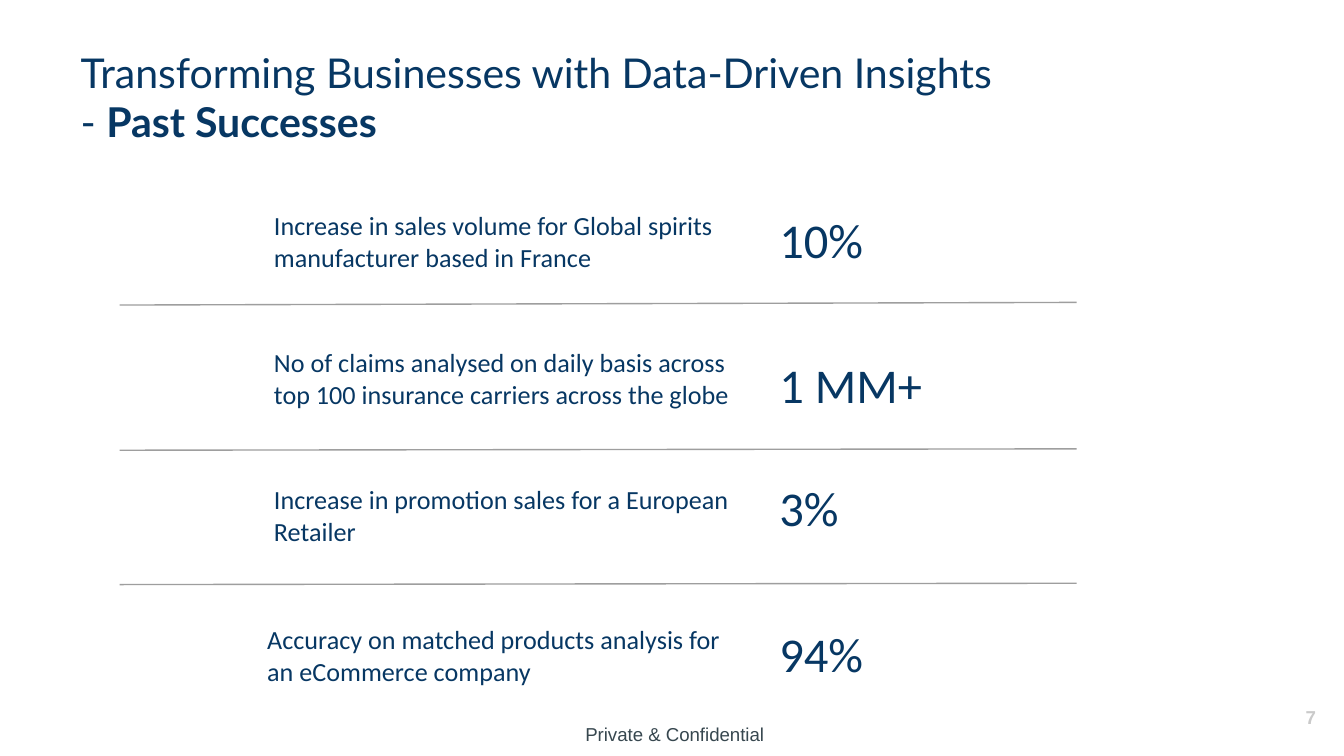
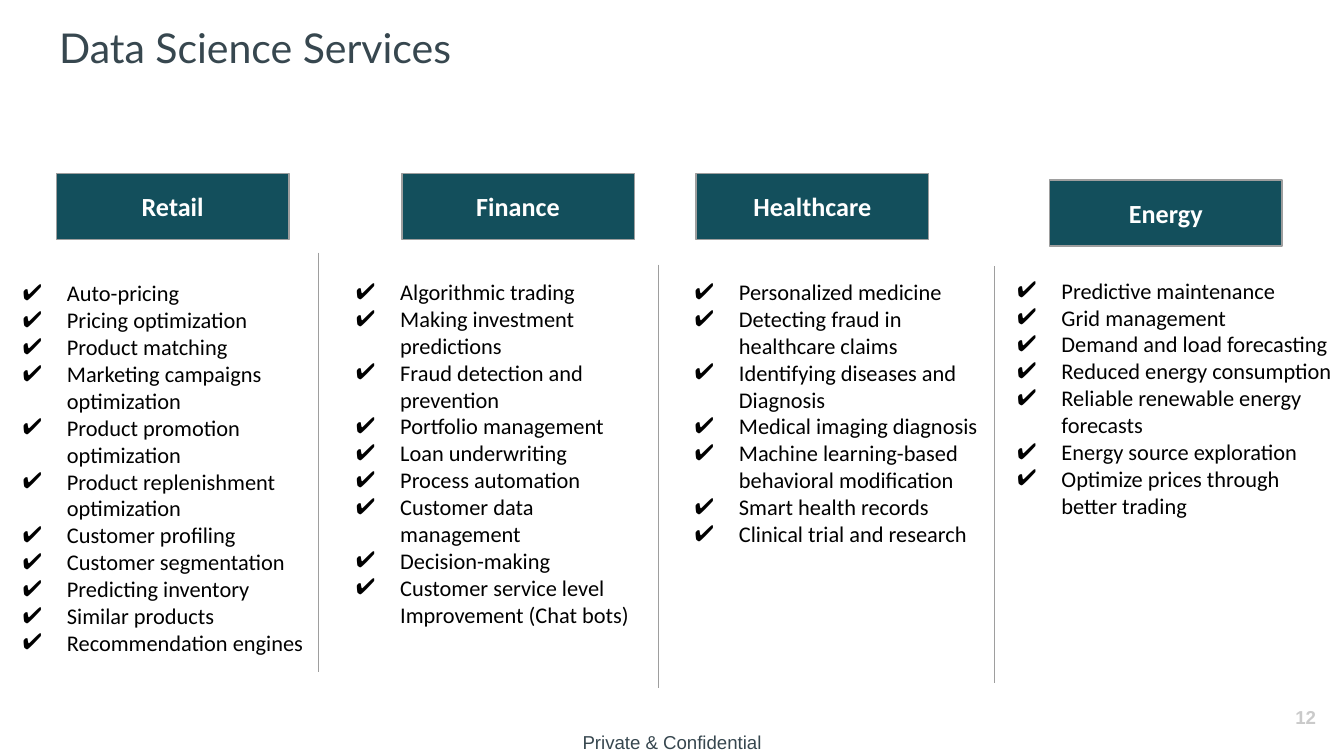
from dataclasses import dataclass

from lxml.etree import SubElement
from pptx import Presentation
from pptx.dml.color import RGBColor as Rgb
from pptx.enum.shapes import MSO_CONNECTOR as Connector, MSO_SHAPE as Shape
from pptx.enum.text import MSO_ANCHOR as Anchor, MSO_AUTO_SIZE as AutoSize, PP_ALIGN as Align
from pptx.oxml.ns import qn
from pptx.util import Inches, Pt


@dataclass(frozen=True)
class Theme:
    """Colours, fonts and type sizes shared by the slides."""
    navy: str = "073763"
    slate: str = "37474F"
    teal: str = "134F5C"
    rule: str = "9E9E9E"
    pale: str = "CACACA"
    black: str = "000000"
    white: str = "FFFFFF"
    title_font: str = "Lato"
    body_font: str = "Calibri"
    footer_font: str = "Arial"
    title_size: int = 22
    figure_size: int = 26
    label_size: int = 14
    list_size: int = 12
    footer_size: int = 10
    line_width: float = 0.75
    inset: float = 0.1


THEME = Theme()

SUCCESSES = [
    ("Increase in sales volume for Global spirits manufacturer based in France",
     1.94, 1.46, "10%", 1.46, 1.25),
    ("No of claims analysed on daily basis across top 100 insurance carriers across the globe",
     1.94, 2.48, "1 MM+", 2.54, 1.63),
    ("Increase in promotion sales for a European Retailer",
     1.94, 3.5, "3%", 3.46, 1.63),
    ("Accuracy on matched products analysis for an eCommerce company",
     1.89, 4.54, "94%", 4.54, 1.63),
]
ROW_RULES = [(2.27, 2.25), (3.35, 3.34), (4.35, 4.34)]

SERVICES = [
    ("Retail", (0.42, 1.29), (-0.1, 1.98, 2.57, 3.1), [
        "Auto-pricing",
        "Pricing optimization",
        "Product matching",
        "Marketing campaigns optimization",
        "Product promotion optimization",
        "Product replenishment optimization",
        "Customer profiling",
        "Customer segmentation",
        "Predicting inventory",
        "Similar products",
        "Recommendation engines",
    ]),
    ("Finance", (2.99, 1.29), (2.38, 1.97, 2.5, 2.86), [
        "Algorithmic trading",
        "Making investment predictions",
        "Fraud detection and prevention",
        "Portfolio management",
        "Loan underwriting",
        "Process automation",
        "Customer data management",
        "Decision-making",
        "Customer service level Improvement (Chat bots)",
    ]),
    ("Healthcare", (5.18, 1.29), (4.9, 1.97, 2.5, 2.24), [
        "Personalized medicine",
        "Detecting fraud in healthcare claims",
        "Identifying diseases and Diagnosis",
        "Medical imaging diagnosis",
        "Machine learning-based behavioral modification",
        "Smart health records",
        "Clinical trial and research",
    ]),
    ("Energy", (7.81, 1.34), (7.3, 1.96, 2.74, 2.04), [
        "Predictive maintenance",
        "Grid management",
        "Demand and load forecasting",
        "Reduced energy consumption",
        "Reliable renewable energy forecasts",
        "Energy source exploration",
        "Optimize prices through better trading",
    ]),
]
COLUMN_RULES = [(2.37, 1.88, 5), (4.9, 1.97, 5.12), (7.4, 1.98, 5.08)]


def style_text(box, size, color, font=THEME.body_font, bold=False,
               align=Align.LEFT, anchor=Anchor.TOP, grow=False):
    """Set the frame, paragraphs and runs of a box in one style."""
    frame = box.text_frame
    frame.word_wrap = True
    frame.auto_size = AutoSize.SHAPE_TO_FIT_TEXT if grow else AutoSize.NONE
    frame.vertical_anchor = anchor
    frame.margin_left = frame.margin_right = Inches(THEME.inset)
    frame.margin_top = frame.margin_bottom = Inches(THEME.inset)
    for para in frame.paragraphs:
        para.alignment = align
        for span in para.runs:
            span.font.name = font
            span.font.size = Pt(size)
            span.font.bold = bold
            span.font.color.rgb = Rgb.from_string(color)


def add_text(page, place, text, size, color, **style):
    """Add a styled text box at left, top, width, height."""
    box = page.shapes.add_textbox(*map(Inches, place))
    box.text_frame.text = text
    style_text(box, size, color, **style)
    return box


def add_rule(page, start, end):
    """Draw a thin grey line between two points."""
    rule = page.shapes.add_connector(Connector.STRAIGHT, *map(Inches, start + end))
    rule.line.color.rgb = Rgb.from_string(THEME.rule)
    rule.line.width = Pt(THEME.line_width)
    SubElement(rule.element.spPr, qn("a:effectLst"))


def add_heading(page, name, left, top):
    """Add the filled heading of a service column."""
    box = page.shapes.add_shape(Shape.RECTANGLE, *map(Inches, (left, top, 1.73, 0.49)))
    box.shadow.inherit = False
    box.fill.solid()
    box.fill.fore_color.rgb = Rgb.from_string(THEME.teal)
    box.line.color.rgb = Rgb.from_string(THEME.rule)
    box.line.width = Pt(THEME.line_width)
    box.text_frame.text = name
    style_text(box, THEME.label_size, THEME.white, bold=True,
               align=Align.CENTER, anchor=Anchor.MIDDLE)


def add_checklist(page, place, items):
    """Add a list with check marks and a hanging indent."""
    box = add_text(page, place, "\n".join(items), THEME.list_size, THEME.black, grow=True)
    for para in box.text_frame.paragraphs:
        props = para._p.get_or_add_pPr()
        props.set("marL", str(Inches(0.5)))
        props.set("indent", str(Inches(-0.33)))
        SubElement(props, qn("a:buFont"), typeface=THEME.body_font)
        SubElement(props, qn("a:buChar"), char="✔")


def add_page(deck, title, left, top, color, number, footer_place):
    """Add a title-only slide with its title, page number and footer."""
    page = deck.slides.add_slide(deck.slide_layouts[5])
    box = page.shapes.title
    box.left, box.top, box.width, box.height = map(Inches, (left, top, 9.32, 0.63))
    box.text_frame.text = title
    style_text(box, THEME.title_size, color, font=THEME.title_font)
    add_text(page, (9.29, 5.12, 0.6, 0.43), number, THEME.footer_size, THEME.pale,
             font=THEME.footer_font, bold=True, align=Align.RIGHT, anchor=Anchor.MIDDLE)
    add_text(page, footer_place, "Private & Confidential", THEME.footer_size, THEME.slate,
             font=THEME.footer_font, align=Align.CENTER)
    return page


def build_successes(deck):
    """Build the slide of past results."""
    page = add_page(deck, "Transforming Businesses with Data-Driven Insights\n- ",
                    0.5, 0.25, THEME.navy, "7", (3.97, 5.28, 2.1, 0.28))
    title = page.shapes.title
    span = title.text_frame.paragraphs[1].add_run()
    span.text = "Past Successes"
    style_text(title, THEME.title_size, THEME.navy, font=THEME.title_font)
    span.font.bold = True
    for label, left, label_top, figure, figure_top, figure_width in SUCCESSES:
        add_text(page, (left, label_top, 5.56 - left, 0.67), label,
                 THEME.label_size, THEME.navy, grow=True)
        add_text(page, (5.7, figure_top, figure_width, 0.64), figure,
                 THEME.figure_size, THEME.navy, grow=True)
    for left_end, right_end in ROW_RULES:
        add_rule(page, (0.89, left_end), (8.01, right_end))


def build_services(deck):
    """Build the slide of services by industry."""
    page = add_page(deck, "Data Science Services", 0.34, 0.07, THEME.slate,
                    "12", (3.95, 5.34, 2.1, 0.28))
    for name, corner, list_place, items in SERVICES:
        add_heading(page, name, *corner)
        add_checklist(page, list_place, items)
    for x, top, bottom in COLUMN_RULES:
        add_rule(page, (x, top), (x, bottom))


def main():
    """Build and save the deck."""
    deck = Presentation()
    deck.slide_width = Inches(10)
    deck.slide_height = deck.slide_width * 9 // 16
    build_successes(deck)
    build_services(deck)
    deck.save("out.pptx")


if __name__ == "__main__":
    main()
